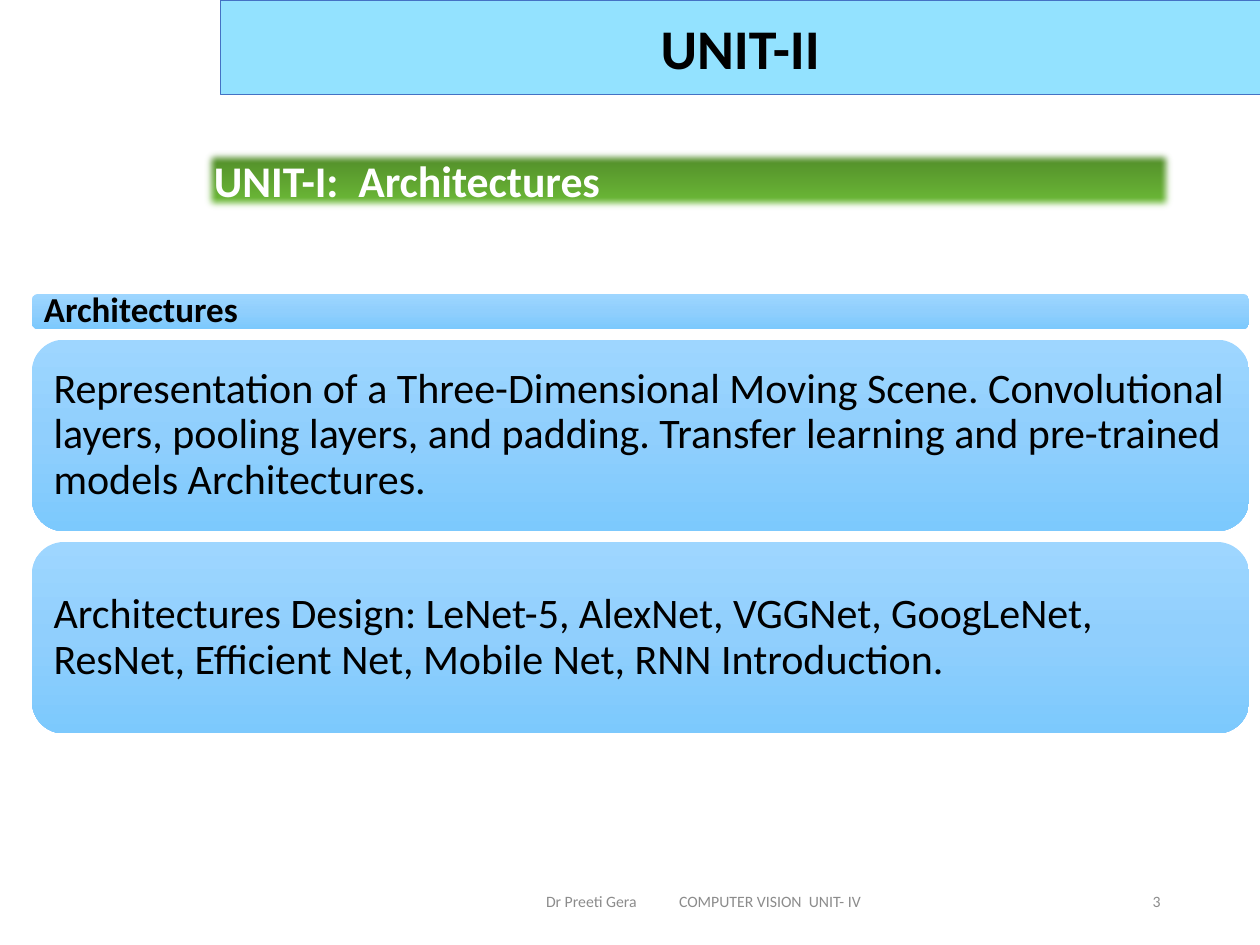
from lxml.etree import SubElement
from pptx import Presentation
from pptx.dml.color import RGBColor
from pptx.enum.shapes import MSO_SHAPE as SHAPE
from pptx.enum.text import MSO_ANCHOR as ANCHOR, PP_ALIGN as ALIGN
from pptx.oxml import parse_xml
from pptx.oxml.ns import nsdecls, qn
from pptx.util import Pt

FONT = "Calibri"
COLORS = {
    "title_fill": "93E2FF", "title_line": "4472C4", "text": "000000",
    "banner_text": "FFFFFF", "footer": "8C8C8C",
}
BANNER_STOPS = [(0, "4D8527"), (80, "6AB636"), (100, "6ABA34")]
CARD_STOPS = [(0, "9ED6FF"), (50, "90CFFD"), (100, "7CC9FD")]
CARD_LEFT, CARD_TOP, CARD_WIDTH, CARD_GAP = 18.3, 168, 695.5, 6.2
CARDS = [
    ("Architectures", 19.9, 5.8, 20, True),
    ("Representation of a Three-Dimensional Moving Scene. Convolutional "
     "layers, pooling layers, and padding. Transfer learning and pre-trained "
     "models Architectures.", 109.4, 7, 24, False),
    ("Architectures Design: LeNet-5, AlexNet, VGGNet, GoogLeNet, ResNet, "
     "Efficient Net, Mobile Net, RNN Introduction.", 109.4, 7, 24, False),
]


def rgb(name):
    return RGBColor.from_string(COLORS[name])


def write(sp, text, size, color, bold=False, align=ALIGN.LEFT, inset=7.2,
          anchor=ANCHOR.MIDDLE):
    tf = sp.text_frame
    tf.word_wrap = True
    tf.vertical_anchor = anchor
    tf.margin_left = tf.margin_right = Pt(inset)
    tf.margin_top = tf.margin_bottom = Pt(3.6)
    p = tf.paragraphs[0]
    p.alignment = align
    r = p.add_run()
    r.text = text
    r.font.name, r.font.size, r.font.bold = FONT, Pt(size), bold
    r.font.color.rgb = rgb(color)
    return tf


def set_gradient(sp, stops):
    gs = "".join(f'<a:gs pos="{pos * 1000}"><a:srgbClr val="{color}"/></a:gs>'
                 for pos, color in stops)
    grad = parse_xml(f'<a:gradFill {nsdecls("a")} rotWithShape="1"><a:gsLst>{gs}'
                     '</a:gsLst><a:lin ang="5400000" scaled="0"/></a:gradFill>')
    sp.element.spPr.find(qn("a:prstGeom")).addnext(grad)


def add_panel(s, kind, box, stops):
    sp = s.shapes.add_shape(kind, *map(Pt, box))
    sp.shadow.inherit = False
    sp.line.fill.background()
    set_gradient(sp, stops)
    return sp


def add_title(s):
    sp = s.shapes.title
    sp.left, sp.top, sp.width, sp.height = map(Pt, (126, 0, 594, 54))
    sp.fill.solid()
    sp.fill.fore_color.rgb = rgb("title_fill")
    sp.line.color.rgb = rgb("title_line")
    sp.line.width = Pt(0.5)
    write(sp, "UNIT-II", 32, "text", True, ALIGN.CENTER)


def add_banner(s):
    sp = add_panel(s, SHAPE.RECTANGLE, (115.2, 84.24, 556.56, 37.44), BANNER_STOPS)
    write(sp, "UNIT-I:  Architectures", 25, "banner_text", True, anchor=ANCHOR.TOP)
    effects = sp.element.spPr.find(qn("a:effectLst"))
    SubElement(effects, qn("a:softEdge"), rad=str(Pt(5)))


def add_cards(s):
    top = CARD_TOP
    for text, height, inset, size, bold in CARDS:
        sp = add_panel(s, SHAPE.ROUNDED_RECTANGLE,
                       (CARD_LEFT, top, CARD_WIDTH, height), CARD_STOPS)
        tf = write(sp, text, size, "text", bold, inset=inset)
        tf.paragraphs[0].line_spacing = 0.9
        top += height + CARD_GAP


def add_footer(s):
    box = s.shapes.add_textbox(*map(Pt, (228.24, 500.4, 347.76, 28.8)))
    tf = write(box, "Dr Preeti Gera\tCOMPUTER VISION  UNIT- IV", 9, "footer")
    tf.margin_left = Pt(83.8)
    pPr = tf.paragraphs[0]._p.get_or_add_pPr()
    tabs = SubElement(pPr, qn("a:tabLst"))
    SubElement(tabs, qn("a:tab"), pos=str(Pt(76)), algn="l")
    number = s.shapes.add_textbox(*map(Pt, (508.32, 500.4, 162, 28.8)))
    write(number, "3", 9, "footer", align=ALIGN.RIGHT)


def main():
    prs = Presentation()
    prs.slide_width, prs.slide_height = Pt(720), Pt(540)
    s = prs.slides.add_slide(prs.slide_layouts[5])
    add_footer(s)
    add_title(s)
    add_banner(s)
    add_cards(s)
    prs.save("out.pptx")


if __name__ == "__main__":
    main()
